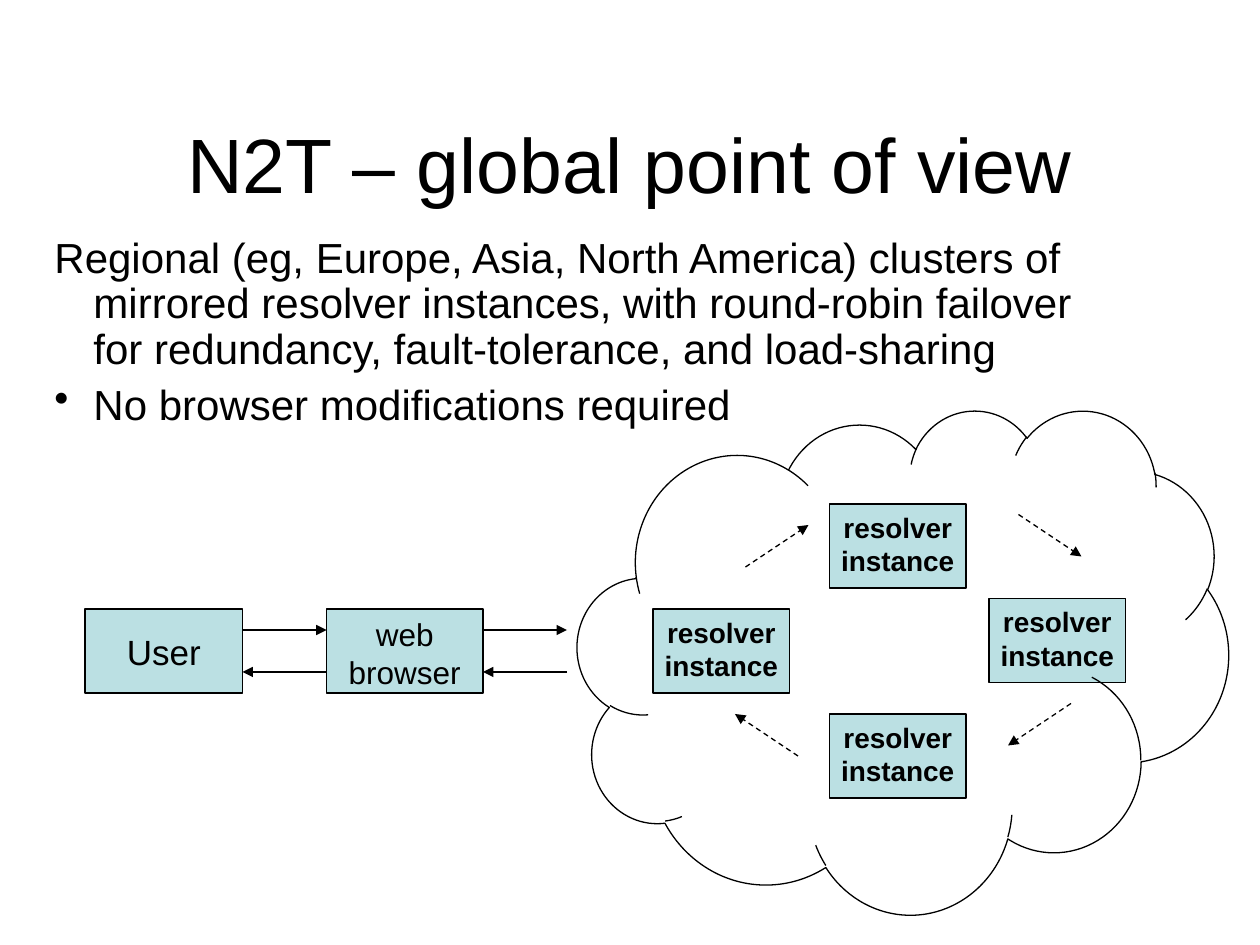
from dataclasses import dataclass
from lxml import etree
from pptx import Presentation
from pptx import util as u
from pptx.dml.color import RGBColor
from pptx.enum import dml, shapes, text
from pptx.oxml.ns import qn


@dataclass(frozen=True)
class Theme:
    """Colours, font and type sizes of the slide."""
    ink: RGBColor = RGBColor(0, 0, 0)
    paper: RGBColor = RGBColor(255, 255, 255)
    box: RGBColor = RGBColor(0xBB, 0xE0, 0xE3)
    font: str = "Arial"
    title: int = 44
    body: int = 24
    user: int = 20
    web: int = 18
    node: int = 16
    rule: float = 0.75


class Deck:
    """Draws styled elements on a slide with a grid of 120 by 90 cells."""

    def __init__(self, theme):
        """Open a blank title-only slide."""
        self.theme = theme
        self.prs = Presentation()
        self.prs.slide_width, self.prs.slide_height = u.Inches(10), u.Inches(7.5)
        self.slide = self.prs.slides.add_slide(self.prs.slide_layouts[5])
        fill = self.slide.background.fill
        fill.solid()
        fill.fore_color.rgb = theme.paper

    def grid(self, *cells):
        """Turn grid cells into lengths."""
        return [u.Emu(round(c * self.prs.slide_width / 120)) for c in cells]

    def label(self, para, words, size, bold=False):
        """Add one styled run."""
        run = para.add_run()
        run.text = words
        font = run.font
        font.name, font.size, font.bold = self.theme.font, u.Pt(size), bold
        font.color.rgb = self.theme.ink

    def title(self, words, *area):
        """Place and fill the title."""
        shape = self.slide.shapes.title
        shape.left, shape.top, shape.width, shape.height = self.grid(*area)
        frame = shape.text_frame
        frame.vertical_anchor = text.MSO_ANCHOR.MIDDLE
        para = frame.paragraphs[0]
        para.alignment = text.PP_ALIGN.CENTER
        self.label(para, words, self.theme.title)

    def body(self, items, *area):
        """Add hanging paragraphs, each with or without a bullet."""
        frame = self.slide.shapes.add_textbox(*self.grid(*area)).text_frame
        frame.word_wrap = True
        for i, (words, mark) in enumerate(items):
            para = frame.add_paragraph() if i else frame.paragraphs[0]
            para.line_spacing = 0.9
            if i:
                para.space_before = u.Pt(6)
            props = para._p.get_or_add_pPr()
            props.set("marL", str(u.Inches(0.31)))
            props.set("indent", str(-u.Inches(0.31)))
            if mark:
                etree.SubElement(props, qn("a:buChar")).set("char", mark)
            else:
                etree.SubElement(props, qn("a:buNone"))
            self.label(para, words, self.theme.body)

    def shape(self, kind, area, fill=None):
        """Add an outlined shape."""
        shape = self.slide.shapes.add_shape(kind, *self.grid(*area))
        shape.shadow.inherit = False
        if fill is None:
            shape.fill.background()
        else:
            shape.fill.solid()
            shape.fill.fore_color.rgb = fill
        self.stroke(shape.line)
        return shape

    def stroke(self, line):
        """Style an outline."""
        line.color.rgb = self.theme.ink
        line.width = u.Pt(self.theme.rule)

    def box(self, lines, size, area, bold=False):
        """Add a labelled box."""
        shape = self.shape(shapes.MSO_SHAPE.RECTANGLE, area, self.theme.box)
        frame = shape.text_frame
        frame.word_wrap = False
        anchor = text.MSO_ANCHOR
        frame.vertical_anchor = anchor.TOP if len(lines) > 1 else anchor.MIDDLE
        for i, words in enumerate(lines):
            para = frame.add_paragraph() if i else frame.paragraphs[0]
            para.alignment = text.PP_ALIGN.CENTER
            self.label(para, words, size, bold)

    def cloud(self, *area):
        """Add an open cloud outline."""
        self.shape(shapes.MSO_SHAPE.CLOUD, area)

    def arrow(self, *ends, dash=False):
        """Add a line with a head at its end."""
        kind = shapes.MSO_CONNECTOR.STRAIGHT
        link = self.slide.shapes.add_connector(kind, *self.grid(*ends))
        self.stroke(link.line)
        if dash:
            link.line.dash_style = dml.MSO_LINE.DASH
        props = link._element.spPr
        tail = etree.SubElement(props.get_or_add_ln(), qn("a:tailEnd"))
        tail.set("type", "triangle")
        etree.SubElement(props, qn("a:effectLst"))


def main():
    """Build and save the slide."""
    theme = Theme()
    deck = Deck(theme)
    deck.title("N2T – global point of view", 9, 8, 102, 15)
    deck.body([
        ("Regional (eg, Europe, Asia, North America) clusters of mirrored "
         "resolver instances, with round-robin failover for redundancy, "
         "fault-tolerance, and load-sharing", None),
        ("No browser modifications required", "•"),
    ], 4, 22, 105, 20)

    deck.box(["web", "browser"], theme.web, (31.1, 58, 14.9, 8))
    deck.box(["User"], theme.user, (8.1, 58, 15, 8))
    for left, right in ((23.1, 31.1), (46, 54)):
        deck.arrow(left, 60, right, 60)
        deck.arrow(right, 64, left, 64)

    for col, row in ((79, 68), (94.2, 57), (79, 48), (62.2, 58)):
        deck.box(["resolver", "instance"], theme.node, (col, row, 13, 8), True)
    deck.cloud(55, 39, 62, 48)
    for ends in ((71, 54, 77, 50), (76, 72, 70, 68),
                 (97, 49, 103, 53), (102, 67, 96, 71)):
        deck.arrow(*ends, dash=True)
    deck.prs.save("out.pptx")


if __name__ == "__main__":
    main()
